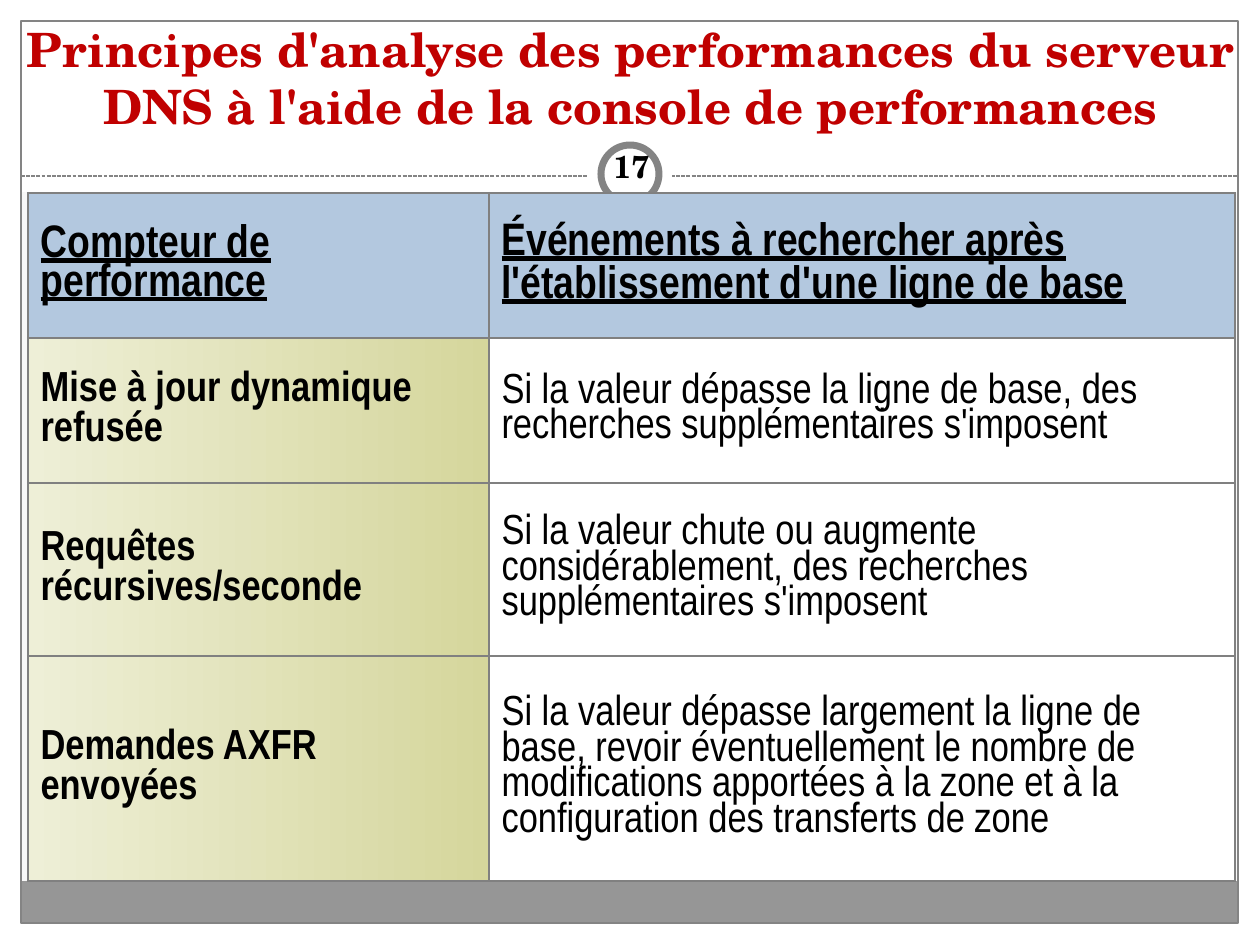
import pptx
import pptx.util
import pptx.dml.color
import pptx.enum.dml
import pptx.enum.shapes
import pptx.enum.text
import pptx.oxml

SCALE = 914400 / 126
SERIF = "TeX Gyre Schola"
NARROW = "Arial Narrow"
NAMESPACE = 'xmlns:a="http://schemas.openxmlformats.org/drawingml/2006/main"'
SHAPE = pptx.enum.shapes.MSO_SHAPE
ANCHOR = pptx.enum.text.MSO_ANCHOR
color = pptx.dml.color.RGBColor.from_string


def px(*lengths):
    return [round(length * SCALE) for length in lengths]


def write(frame, text, size, font, fill="000000", bold=False, underline=False,
          align=pptx.enum.text.PP_ALIGN.LEFT, spacing=1.0):
    paragraph = frame.paragraphs[0]
    paragraph.alignment = align
    paragraph.line_spacing = spacing
    run = paragraph.add_run()
    run.text = text
    run.font.size = pptx.util.Pt(size)
    run.font.name = font
    run.font.bold = bold
    run.font.underline = underline
    run.font.color.rgb = color(fill)


presentation = pptx.Presentation()
presentation.slide_width, presentation.slide_height = px(1260, 945)
slide = presentation.slides.add_slide(presentation.slide_layouts[5])
slide.background.fill.solid()
slide.background.fill.fore_color.rgb = color("F8F8F8")

frame_shapes = [
    (SHAPE.RECTANGLE, (0, 924, 1260, 21), "FFFFFF", 0),
    (SHAPE.RECTANGLE, (0, 0, 1260, 192), "FFFFFF", 0),
    (SHAPE.RECTANGLE, (0, 0, 21, 945), "FFFFFF", 0),
    (SHAPE.RECTANGLE, (1239, 0, 21, 945), "FFFFFF", 0),
    (SHAPE.RECTANGLE, (21, 881, 1217, 43), "969696", 0),
    (SHAPE.RECTANGLE, (21, 21, 1217, 902), None, 0.75),
    (SHAPE.OVAL, (588, 132, 84, 84), "FFFFFF", 0),
    (SHAPE.OVAL, (601, 145, 58, 58), "FFFFFF", 4),
]
for kind, box, fill, line_width in frame_shapes:
    if kind == SHAPE.OVAL and not line_width:
        divider = slide.shapes.add_connector(
            pptx.enum.shapes.MSO_CONNECTOR.STRAIGHT, *px(21, 176, 1238, 176))
        divider.line.color.rgb = color("848484")
        divider.line.width = pptx.util.Pt(0.75)
        divider.line.dash_style = pptx.enum.dml.MSO_LINE.SQUARE_DOT
        divider._element.spPr.append(
            pptx.oxml.parse_xml(f"<a:effectLst {NAMESPACE}/>"))
    shape = slide.shapes.add_shape(kind, *px(*box))
    shape.shadow.inherit = False
    if fill:
        shape.fill.solid()
        shape.fill.fore_color.rgb = color(fill)
    else:
        shape.fill.background()
    if line_width:
        shape.line.color.rgb = color("848484")
        shape.line.width = pptx.util.Pt(line_width)
    else:
        shape.line.fill.background()

title = slide.shapes.title
slide.shapes._spTree.append(title._element)
title.left, title.top, title.width, title.height = px(0, 24, 1260, 116)
title.text_frame.word_wrap = True
title.text_frame.auto_size = pptx.enum.text.MSO_AUTO_SIZE.NONE
title.text_frame.vertical_anchor = ANCHOR.BOTTOM
write(title.text_frame,
      "Principes d'analyse des performances du serveur DNS à l'aide de la console de performances",
      size=27, font=SERIF, fill="C00000", bold=True,
      align=pptx.enum.text.PP_ALIGN.CENTER)

rows = [
    (145, "Compteur de performance",
     "Événements à rechercher après l'établissement d'une ligne de base"),
    (145, "Mise à jour dynamique refusée",
     "Si la valeur dépasse la ligne de base, des recherches supplémentaires s'imposent"),
    (173, "Requêtes récursives/seconde",
     "Si la valeur chute ou augmente considérablement, des recherches supplémentaires s'imposent"),
    (225, "Demandes AXFR envoyées",
     "Si la valeur dépasse largement la ligne de base, revoir éventuellement le nombre de "
     "modifications apportées à la zone et à la configuration des transferts de zone"),
]
table = slide.shapes.add_table(len(rows), 2, *px(28, 193, 1207, 688)).table
for column, width in zip(table.columns, px(461, 746)):
    column.width = width
for row_index, (height, *texts) in enumerate(rows):
    table.rows[row_index].height = px(height)[0]
    header = row_index == 0
    for column_index, text in enumerate(texts):
        cell = table.cell(row_index, column_index)
        cell.vertical_anchor = ANCHOR.MIDDLE
        properties = cell._tc.get_or_add_tcPr()
        for side in "LRTB":
            properties.append(pptx.oxml.parse_xml(
                f'<a:ln{side} {NAMESPACE} w="19050"><a:solidFill>'
                f'<a:srgbClr val="808080"/></a:solidFill></a:ln{side}>'))
        if column_index == 0 and not header:
            cell.fill.gradient()
            cell.fill.gradient_angle = 0
            for stop, stop_color in zip(cell.fill.gradient_stops, ("EEEFD7", "D5D69C")):
                stop.color.rgb = color(stop_color)
        else:
            cell.fill.solid()
            cell.fill.fore_color.rgb = color("B3C8DF" if header else "FFFFFF")
        write(cell.text_frame, text, size=26 if header else 24, font=NARROW,
              bold=header or column_index == 0, underline=header,
              spacing=0.9 if header == (column_index == 0) else 1.0)

number = slide.shapes.add_textbox(*px(601, 141, 63, 60))
number.text_frame.word_wrap = True
write(number.text_frame, "17", size=18, font=SERIF, bold=True)

presentation.save("out.pptx")
